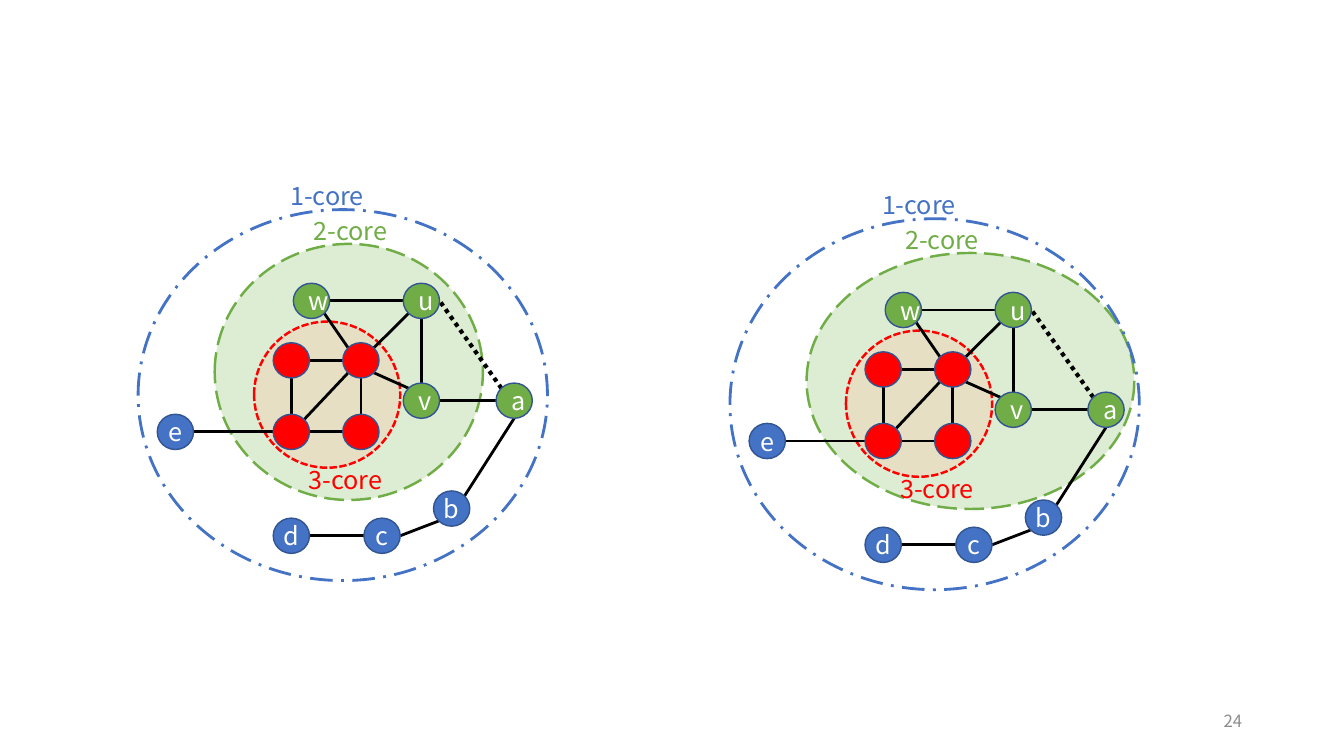
from lxml import etree
from pptx import Presentation
from pptx.dml.color import RGBColor
from pptx.enum.dml import MSO_LINE
from pptx.enum.shapes import MSO_CONNECTOR, MSO_SHAPE
from pptx.enum.text import MSO_ANCHOR, MSO_AUTO_SIZE, PP_ALIGN
from pptx.oxml.ns import qn
from pptx.util import Inches, Pt

OVAL = MSO_SHAPE.OVAL
STRAIGHT = MSO_CONNECTOR.STRAIGHT
MIDDLE = MSO_ANCHOR.MIDDLE
FIT_TEXT = MSO_AUTO_SIZE.SHAPE_TO_FIT_TEXT
LEFT, CENTER, RIGHT = PP_ALIGN.LEFT, PP_ALIGN.CENTER, PP_ALIGN.RIGHT
LONG_DASH = MSO_LINE.LONG_DASH
LONG_DASH_DOT = MSO_LINE.LONG_DASH_DOT
SHORT_DASH = MSO_LINE.SQUARE_DOT  # sysDash
SHORT_DOT = MSO_LINE.ROUND_DOT  # sysDot

BLACK = RGBColor(0x00, 0x00, 0x00)
WHITE = RGBColor(0xFF, 0xFF, 0xFF)
GRAY = RGBColor(0x8C, 0x8C, 0x8C)
RED = RGBColor(0xFF, 0x00, 0x00)
GREEN = RGBColor(0x70, 0xAD, 0x47)
BLUE = RGBColor(0x44, 0x72, 0xC4)
NAVY = RGBColor(0x32, 0x54, 0x91)
LIGHT_GREEN = RGBColor(0xA9, 0xD1, 0x8E)
LIGHT_ORANGE = RGBColor(0xF8, 0xCB, 0xAD)

NODE_W, NODE_H = 0.36, 0.35
DIAGONAL = 0.35  # 45-degree point on a circle, as a share of its diameter

# Points on a node's outline, as shares of its size from the centre
SITES = {
    "n": (0, -0.5), "s": (0, 0.5), "w": (-0.5, 0), "e": (0.5, 0),
    "nw": (-DIAGONAL, -DIAGONAL), "ne": (DIAGONAL, -DIAGONAL),
    "sw": (-DIAGONAL, DIAGONAL), "se": (DIAGONAL, DIAGONAL),
}

# Node name: left, top, colour; the red core nodes carry no letter
NODES = {
    "core_nw": (2.71, 3.4, RED), "core_sw": (2.71, 4.11, RED),
    "core_se": (3.4, 4.11, RED), "core_ne": (3.4, 3.4, RED),
    "w": (2.91, 2.81, GREEN), "u": (4, 2.81, GREEN),
    "v": (4, 3.8, GREEN), "a": (4.92, 3.8, GREEN),
    "b": (4.3, 4.87, BLUE), "c": (3.61, 5.14, BLUE),
    "d": (2.71, 5.14, BLUE), "e": (1.56, 4.11, BLUE),
}

EDGES = [
    ("core_nw", "s", "core_sw", "n"), ("core_ne", "s", "core_se", "n"),
    ("core_ne", "sw", "core_sw", "ne"), ("core_nw", "e", "core_ne", "w"),
    ("core_sw", "e", "core_se", "w"), ("w", "se", "core_ne", "nw"),
    ("w", "e", "u", "w"), ("core_ne", "ne", "u", "sw"),
    ("v", "nw", "core_ne", "se"), ("a", "w", "v", "e"),
    ("b", "ne", "a", "s"), ("c", "e", "b", "sw"),
    ("core_sw", "w", "e", "e"), ("c", "w", "d", "e"),
    ("v", "n", "u", "s"),
]
NEW_EDGE = ("a", "nw", "u", "e")

CORE_LABELS = [
    ("1-core", 2.78, 1.74, 1.24, BLUE),
    ("2-core", 3.01, 2.09, 1.24, GREEN),
    ("3-core", 2.96, 4.56, 1.15, RED),
]


class Canvas:
    font = "Noto Sans CJK SC"

    def __init__(self, slide):
        self.slide = slide
        self.shapes = slide.shapes
        self.dx = self.dy = 0

    def at(self, x, y):
        return Inches(x + self.dx), Inches(y + self.dy)

    def set_text(self, tf, text, color, size=18, align=LEFT):
        p = tf.paragraphs[0]
        p.text = text
        p.alignment = align
        p.font.name = self.font
        p.font.size = Pt(size)
        p.font.color.rgb = color

    def label(self, text, x, y, w, color, size=18, align=LEFT):
        sp = self.shapes.add_textbox(*self.at(x, y), Inches(w), Inches(0.4))
        tf = sp.text_frame
        tf.word_wrap = True
        self.set_text(tf, text, color, size, align)
        return tf

    def ellipse(self, x, y, w, h, fill, line, width, dash=None, alpha=None):
        sp = self.shapes.add_shape(OVAL, *self.at(x, y), Inches(w), Inches(h))
        sp.shadow.inherit = False
        if fill is None:
            sp.fill.background()
        else:
            sp.fill.solid()
            sp.fill.fore_color.rgb = fill
        if alpha:
            clr = sp._element.spPr.find(qn("a:solidFill"))[0]
            etree.SubElement(clr, qn("a:alpha"), val=str(alpha * 1000))
        sp.line.color.rgb = line
        sp.line.width = Pt(width)
        if dash:
            sp.line.dash_style = dash
        return sp

    def node(self, name):
        x, y, color = NODES[name]
        sp = self.ellipse(x, y, NODE_W, NODE_H, color, NAVY, 1)
        if color != RED:
            tf = sp.text_frame
            tf.vertical_anchor = MIDDLE
            tf.word_wrap = color == GREEN
            self.set_text(tf, name, WHITE, align=CENTER)

    def site(self, name, side):
        x, y, _ = NODES[name]
        sx, sy = SITES[side]
        return self.at(x + NODE_W * (0.5 + sx), y + NODE_H * (0.5 + sy))

    def edge(self, start, start_side, end, end_side, width=2, dash=None):
        ln = self.shapes.add_connector(
            STRAIGHT, *self.site(start, start_side), *self.site(end, end_side))
        ln.line.color.rgb = BLACK
        ln.line.width = Pt(width)
        if dash:
            ln.line.dash_style = dash
        etree.SubElement(ln._element.spPr, qn("a:effectLst"))

    def core_graph(self, dx, dy, two_core_width):
        self.dx, self.dy = dx, dy
        self.shapes = self.slide.shapes.add_group_shape().shapes

        # Nested core regions
        self.ellipse(2.13, 2.42, two_core_width, 2.54, LIGHT_GREEN, GREEN,
                     1.75, LONG_DASH, alpha=39)
        self.ellipse(2.52, 3.19, 1.45, 1.45, LIGHT_ORANGE, RED,
                     1.75, SHORT_DASH, alpha=39)

        # Edges and nodes
        for edge in EDGES:
            self.edge(*edge)
        self.edge(*NEW_EDGE, width=3, dash=SHORT_DOT)
        for name in NODES:
            self.node(name)

        # Outer region and core names
        self.ellipse(1.37, 2.08, 4.06, 3.68, None, BLUE, 2, LONG_DASH_DOT)
        for label in CORE_LABELS:
            self.label(*label).auto_size = FIT_TEXT


def main():
    prs = Presentation()
    prs.slide_width, prs.slide_height = Inches(13.33), Inches(7.5)
    canvas = Canvas(prs.slides.add_slide(prs.slide_layouts[6]))

    # Slide number
    tf = canvas.label("24", 9.42, 6.95, 3, GRAY, size=12, align=RIGHT)
    tf.vertical_anchor = MIDDLE

    # Graph before and after the 2-core grows to take in node a
    canvas.core_graph(0, 0, two_core_width=2.66)
    canvas.core_graph(5.87, 0.09, two_core_width=3.25)

    prs.save("out.pptx")


if __name__ == "__main__":
    main()
